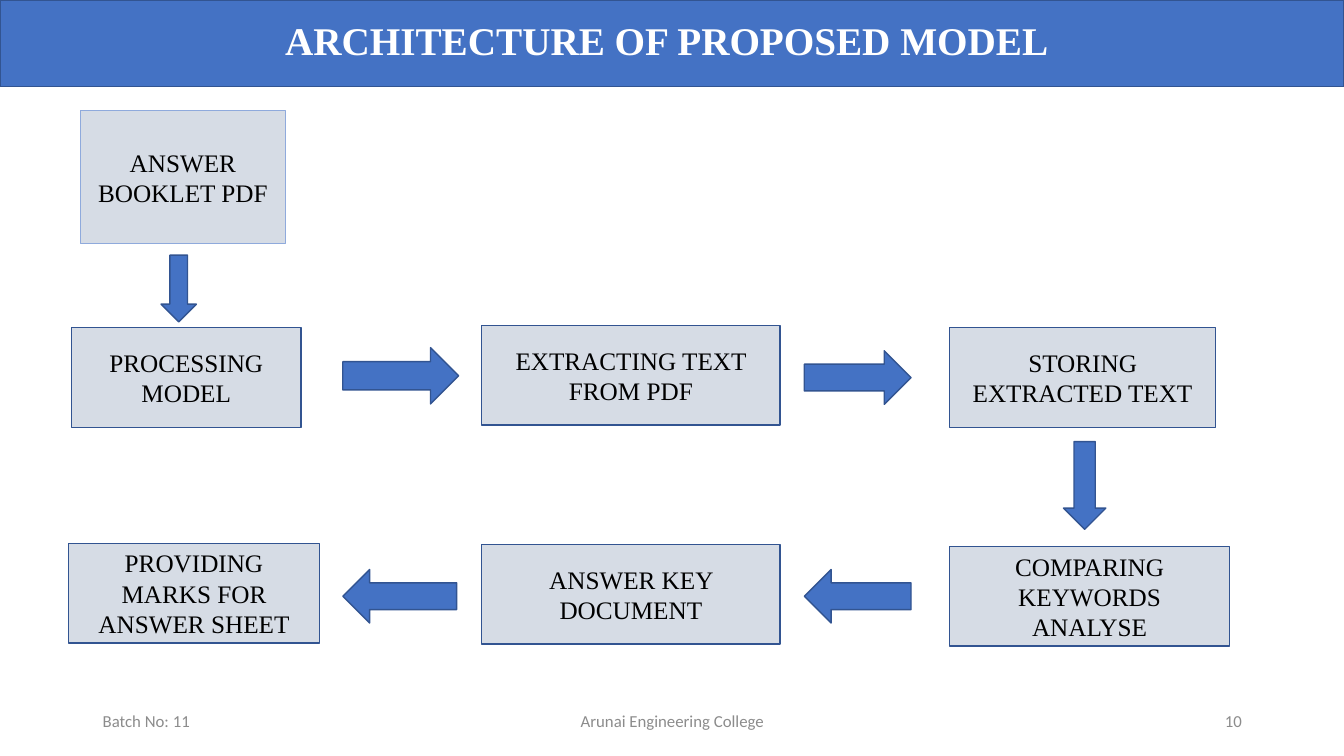
"""Build the slide showing the architecture of the proposed answer-marking model."""
from dataclasses import dataclass

from pptx import Presentation
from pptx.dml.color import RGBColor
from pptx.enum.shapes import MSO_SHAPE
from pptx.enum.text import MSO_ANCHOR, PP_ALIGN
from pptx.util import Cm, Pt

RECT = MSO_SHAPE.RECTANGLE
RIGHT_ARROW = MSO_SHAPE.RIGHT_ARROW
LEFT_ARROW = MSO_SHAPE.LEFT_ARROW
DOWN_ARROW = MSO_SHAPE.DOWN_ARROW
MIDDLE = MSO_ANCHOR.MIDDLE
LEFT, CENTER, RIGHT = PP_ALIGN.LEFT, PP_ALIGN.CENTER, PP_ALIGN.RIGHT

COLORS = {
    "blue": "4472C4",
    "outline": "325491",
    "light_outline": "8FAADC",
    "box": "D6DCE5",
    "black": "000000",
    "white": "FFFFFF",
    "gray": "8C8C8C",
}
SERIF, SANS = "Times New Roman", "Calibri"
SLIDE_W, SLIDE_H = 33.87, 19.05
TITLE_H = 2.18
STEP_H = 2.51
FOOTER_TOP, FOOTER_H = 17.65, 1.02


@dataclass(frozen=True)
class Step:
    text: str
    left: float
    top: float
    width: float
    height: float = STEP_H
    line: str = "outline"


@dataclass(frozen=True)
class Arrow:
    kind: MSO_SHAPE
    left: float
    top: float
    width: float
    height: float


@dataclass(frozen=True)
class Footer:
    text: str
    left: float
    width: float
    align: PP_ALIGN


STEPS = [
    Step("ANSWER BOOKLET PDF", 2.03, 2.79, 5.16, 3.35, "light_outline"),
    Step("PROCESSING MODEL", 1.8, 8.26, 5.79),
    Step("EXTRACTING TEXT FROM PDF", 12.14, 8.2, 7.52),
    Step("STORING EXTRACTED TEXT", 23.93, 8.26, 6.71),
    Step("COMPARING KEYWORDS ANALYSE", 23.93, 13.77, 7.06),
    Step("ANSWER KEY DOCUMENT", 12.14, 13.72, 7.52),
    Step("PROVIDING MARKS FOR ANSWER SHEET", 1.73, 13.69, 6.32),
]
ARROWS = [
    Arrow(DOWN_ARROW, 4.06, 6.43, 0.89, 1.68),
    Arrow(RIGHT_ARROW, 8.64, 8.76, 2.92, 1.42),
    Arrow(RIGHT_ARROW, 20.27, 8.84, 2.69, 1.35),
    Arrow(DOWN_ARROW, 26.8, 11.13, 1.07, 2.21),
    Arrow(LEFT_ARROW, 20.27, 14.35, 2.69, 1.35),
    Arrow(LEFT_ARROW, 8.64, 14.35, 2.87, 1.35),
]
FOOTERS = [
    Footer("Batch No: 11", 2.34, 7.62, LEFT),
    Footer("Arunai Engineering College", 11.23, 11.43, CENTER),
    Footer("10", 23.93, 7.62, RIGHT),
]


def rgb(name: str) -> RGBColor:
    return RGBColor.from_string(COLORS[name])


def write(sp, text: str, *, size: float = 18, font: str = SERIF,
          color: str = "black", bold: bool = False,
          align: PP_ALIGN = CENTER, spacing: float = 1.0) -> None:
    tf = sp.text_frame
    tf.word_wrap = True
    tf.vertical_anchor = MIDDLE
    p = tf.paragraphs[0]
    p.alignment = align
    p.line_spacing = spacing
    r = p.add_run()
    r.text = text
    r.font.size = Pt(size)
    r.font.name = font
    r.font.bold = bold
    r.font.color.rgb = rgb(color)


def add_shape(s, kind: MSO_SHAPE, left: float, top: float, width: float,
              height: float, fill: str = "blue", line: str = "outline"):
    sp = s.shapes.add_shape(kind, Cm(left), Cm(top), Cm(width), Cm(height))
    sp.shadow.inherit = False
    sp.fill.solid()
    sp.fill.fore_color.rgb = rgb(fill)
    sp.line.color.rgb = rgb(line)
    sp.line.width = Pt(1)
    return sp


def add_text(s, left: float, top: float, width: float, height: float):
    return s.shapes.add_textbox(Cm(left), Cm(top), Cm(width), Cm(height))


def add_title(s) -> None:
    add_shape(s, RECT, 0, 0, SLIDE_W, TITLE_H)
    write(add_text(s, 0, 0, 33.6, TITLE_H), "ARCHITECTURE OF PROPOSED MODEL",
          size=28, color="white", bold=True, spacing=0.9)


def add_step(s, step: Step) -> None:
    sp = add_shape(s, RECT, step.left, step.top, step.width, step.height,
                   "box", step.line)
    write(sp, step.text)


def add_arrow(s, arrow: Arrow) -> None:
    add_shape(s, arrow.kind, arrow.left, arrow.top, arrow.width, arrow.height)


def add_footer(s, footer: Footer) -> None:
    sp = add_text(s, footer.left, FOOTER_TOP, footer.width, FOOTER_H)
    write(sp, footer.text, size=12, font=SANS, color="gray", align=footer.align)


def main() -> None:
    prs = Presentation()
    prs.slide_width, prs.slide_height = Cm(SLIDE_W), Cm(SLIDE_H)
    s = prs.slides.add_slide(prs.slide_layouts[6])
    add_title(s)
    for step in STEPS:
        add_step(s, step)
    for arrow in ARROWS:
        add_arrow(s, arrow)
    for footer in FOOTERS:
        add_footer(s, footer)
    prs.save("out.pptx")


if __name__ == "__main__":
    main()
